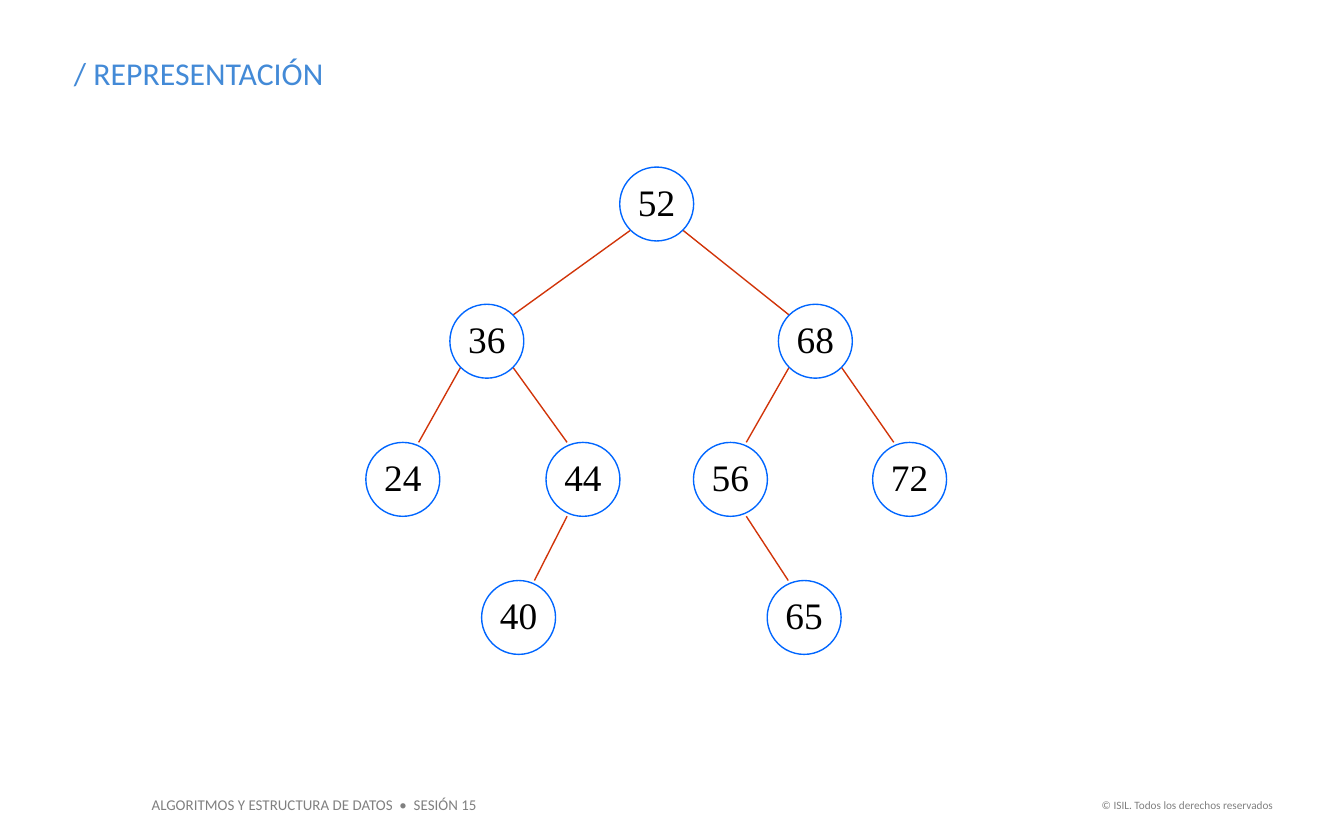
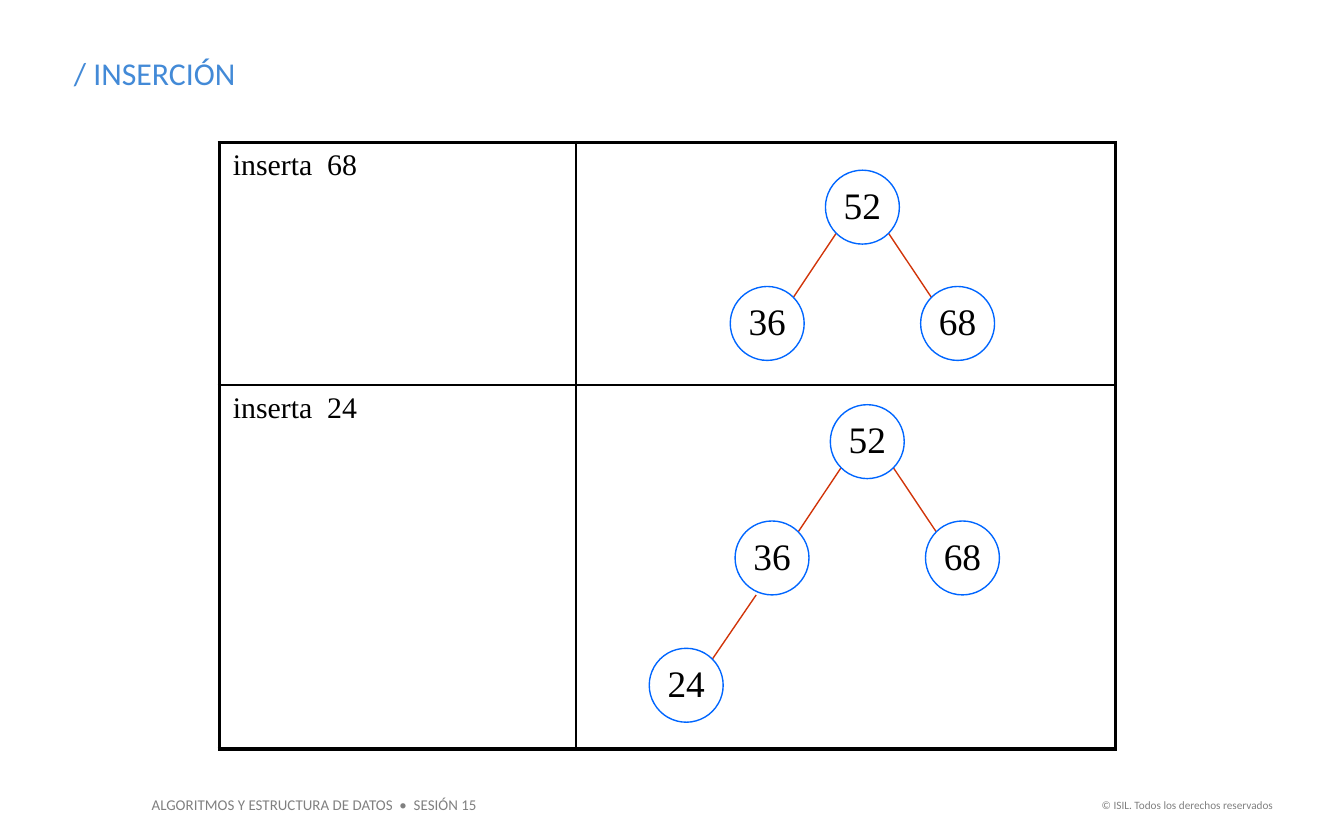
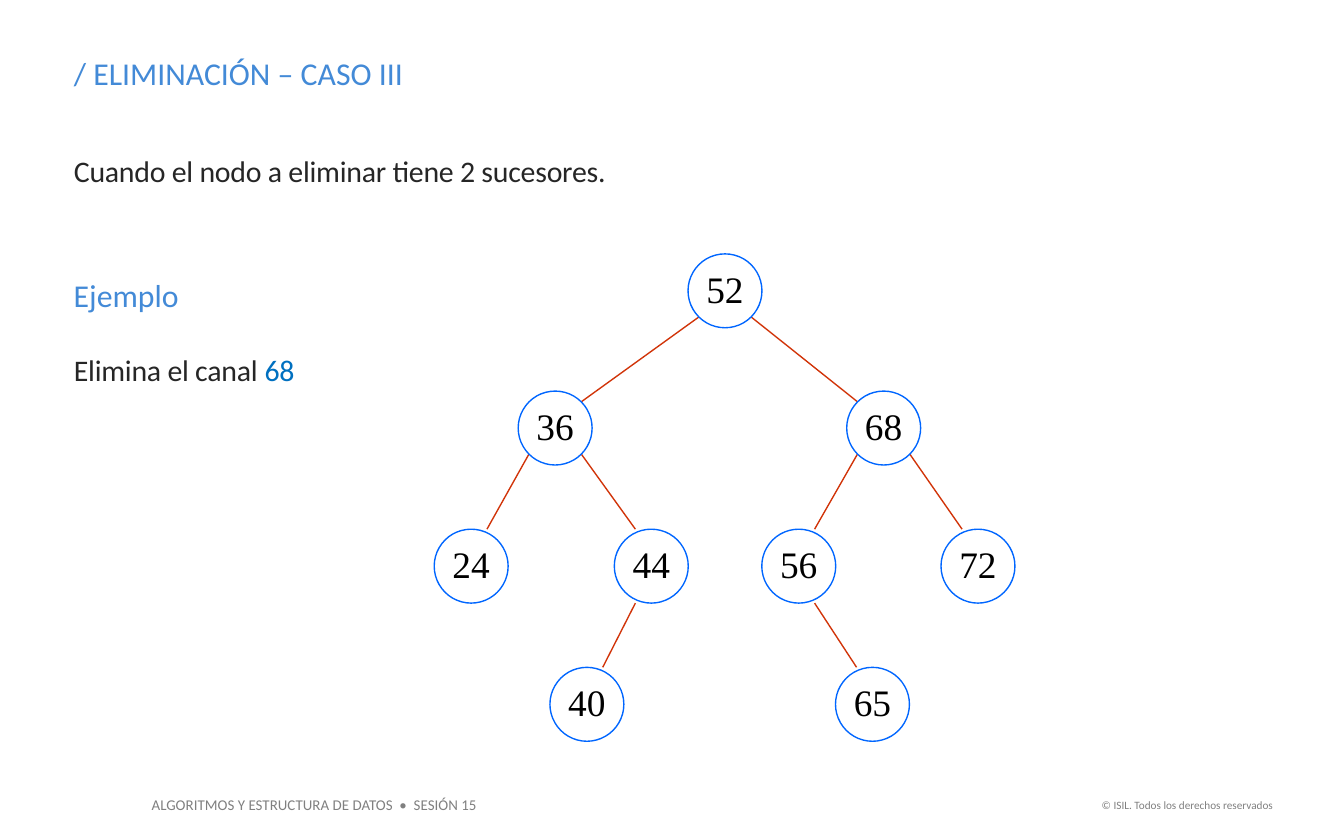
from lxml.etree import SubElement
from pptx import Presentation
from pptx.dml.color import RGBColor
from pptx.enum.shapes import MSO_CONNECTOR as Connector, MSO_SHAPE as Shape
from pptx.enum.text import MSO_ANCHOR as Anchor, PP_ALIGN as Align
from pptx.oxml.ns import qn
from pptx.util import Pt

COLORS = {
    "title": "438AD7",
    "body": "262626",
    "accent": "0070C0",
    "footer": "808080",
    "node": "0066FF",
    "branch": "D13409",
    "black": "000000",
}
DIAMETER = 39.6
INSETS = {"corner": (5.7, 5.7), "edge": (11.3, 0)}

FULL_TREE = [
    ("36", "52", -91, 73.5, "corner", "corner"),
    ("68", "52", 85, 73.5, "corner", "corner"),
    ("24", "36", -136, 147.5, "corner", "edge"),
    ("44", "36", -39.5, 147.5, "corner", "edge"),
    ("56", "68", 39.5, 147.5, "corner", "edge"),
    ("72", "68", 135.5, 147.5, "corner", "edge"),
    ("40", "44", -74, 221.5, "edge", "edge"),
    ("65", "56", 79, 221.5, "edge", "edge"),
]
TREE_WITH_68 = [
    ("36", "52", -51, 62.3, "corner", "corner"),
    ("68", "52", 51, 62.3, "corner", "corner"),
]
TREE_WITH_24 = TREE_WITH_68 + [("24", "36", -97, 130.5, "edge", "corner")]

SLIDES = [
    ("/ REPRESENTACIÓN", [(332, 89.5, FULL_TREE)]),
    ("/ INSERCIÓN", [(442.2, 91.2, TREE_WITH_68), (444.8, 216.8, TREE_WITH_24)]),
    ("/ ELIMINACIÓN – CASO III", [(368.6, 136, FULL_TREE)]),
]
FOOTERS = [
    ("ALGORITMOS Y ESTRUCTURA DE DATOS  •  SESIÓN 15", 74.2, 422.6, 189.4, 17.3, 8, Align.LEFT),
    ("© ISIL. Todos los derechos reservados", 581, 424.1, 108, 14.4, 6, Align.RIGHT),
]
EXPLANATIONS = [
    ([("Cuando el nodo a eliminar tiene 2 sucesores.", "body")], 72, 335),
    ([("Elimina el canal ", "body"), ("68", "accent")], 178.6, 139),
]


def write(frame, text, color="black", size=20, font="Calibri", align=Align.LEFT,
          anchor=Anchor.TOP, margins=(7.2, 3.6, 7.2, 3.6), wrap=True, line_spacing=None, tracking=None):
    frame.word_wrap = wrap
    frame.vertical_anchor = anchor
    frame.margin_left, frame.margin_top, frame.margin_right, frame.margin_bottom = map(Pt, margins)
    paragraph = frame.paragraphs[0]
    paragraph.alignment = align
    paragraph.line_spacing = line_spacing
    for content, run_color in [(text, color)] if isinstance(text, str) else text:
        run = paragraph.add_run()
        run.text = content
        run.font.name = font
        run.font.size = Pt(size)
        run.font.color.rgb = RGBColor.from_string(COLORS[run_color])
        if tracking:
            run.font._element.set("spc", str(tracking))


def draw_tree(slide, left, top, branches):
    positions = {"52": (left, top)}
    for value, parent, across, down, parent_anchor, child_anchor in branches:
        positions[value] = (left + across, top + down)
        parent_left, parent_top = positions[parent]
        child_left, child_top = positions[value]
        start_inset, start_rise = INSETS[parent_anchor]
        end_inset, end_drop = INSETS[child_anchor]
        if child_left < parent_left:
            end_inset = DIAMETER - end_inset
        else:
            start_inset = DIAMETER - start_inset
        branch = slide.shapes.add_connector(
            Connector.STRAIGHT,
            Pt(parent_left + start_inset), Pt(parent_top + DIAMETER - start_rise),
            Pt(child_left + end_inset), Pt(child_top + end_drop))
        branch.line.color.rgb = RGBColor.from_string(COLORS["branch"])
        branch.line.width = Pt(0.75)
        SubElement(branch._element.spPr, qn("a:effectLst"))
    for value, (node_left, node_top) in positions.items():
        node = slide.shapes.add_shape(
            Shape.FLOWCHART_CONNECTOR, Pt(node_left), Pt(node_top), Pt(DIAMETER), Pt(DIAMETER))
        node.shadow.inherit = False
        node.fill.background()
        node.line.color.rgb = RGBColor.from_string(COLORS["node"])
        node.line.width = Pt(0.75)
        write(node.text_frame, value, font="Times New Roman", align=Align.CENTER,
              anchor=Anchor.MIDDLE, margins=(0, 0, 0, 2.8), wrap=False)


presentation = Presentation()
presentation.slide_width = Pt(720)
presentation.slide_height = Pt(450)

for title_text, trees in SLIDES:
    slide = presentation.slides.add_slide(presentation.slide_layouts[5])
    title = slide.shapes.title
    title.left, title.top, title.width, title.height = Pt(32.4), Pt(25.2), Pt(567.4), Pt(28)
    write(title.text_frame, title_text, color="title", size=17)
    for text, left, top, width, height, size, align in FOOTERS:
        footer = slide.shapes.add_textbox(Pt(left), Pt(top), Pt(width), Pt(height))
        write(footer.text_frame, text, color="footer", size=size, align=align, wrap=False)
    for left, top, branches in trees:
        draw_tree(slide, left, top, branches)

insertion_slide, deletion_slide = presentation.slides[1], presentation.slides[2]

table = insertion_slide.shapes.add_table(2, 2, Pt(117.6), Pt(76.4), Pt(480), Pt(325)).table
table.first_row = False
table.horz_banding = False
for column, width in zip(table.columns, (191, 289)):
    column.width = Pt(width)
for row, height in zip(table.rows, (129.8, 195.2)):
    row.height = Pt(height)
for row_index, step in enumerate(("inserta  68", "inserta  24")):
    write(table.cell(row_index, 0).text_frame, step, size=16, font="Times New Roman")
    for column_index in range(2):
        cell = table.cell(row_index, column_index)
        properties = cell._tc.get_or_add_tcPr()
        outer_sides = ("LR"[column_index], "TB"[row_index])
        for side in "LRTB":
            width = Pt(2.25 if side in outer_sides else 1)
            border = SubElement(properties, qn(f"a:ln{side}"), w=str(width))
            fill = SubElement(border, qn("a:solidFill"))
            SubElement(fill, qn("a:srgbClr"), val=COLORS["black"])
        cell.fill.background()

example = deletion_slide.shapes.add_textbox(Pt(32.4), Pt(144), Pt(99.4), Pt(28))
write(example.text_frame, "Ejemplo", color="title", size=17)
for runs, top, width in EXPLANATIONS:
    explanation = deletion_slide.shapes.add_textbox(Pt(39.6), Pt(top), Pt(width), Pt(28.8))
    write(explanation.text_frame, runs, size=16, margins=(0, 0, 0, 0), line_spacing=1.5, tracking=-10)

presentation.save("out.pptx")
